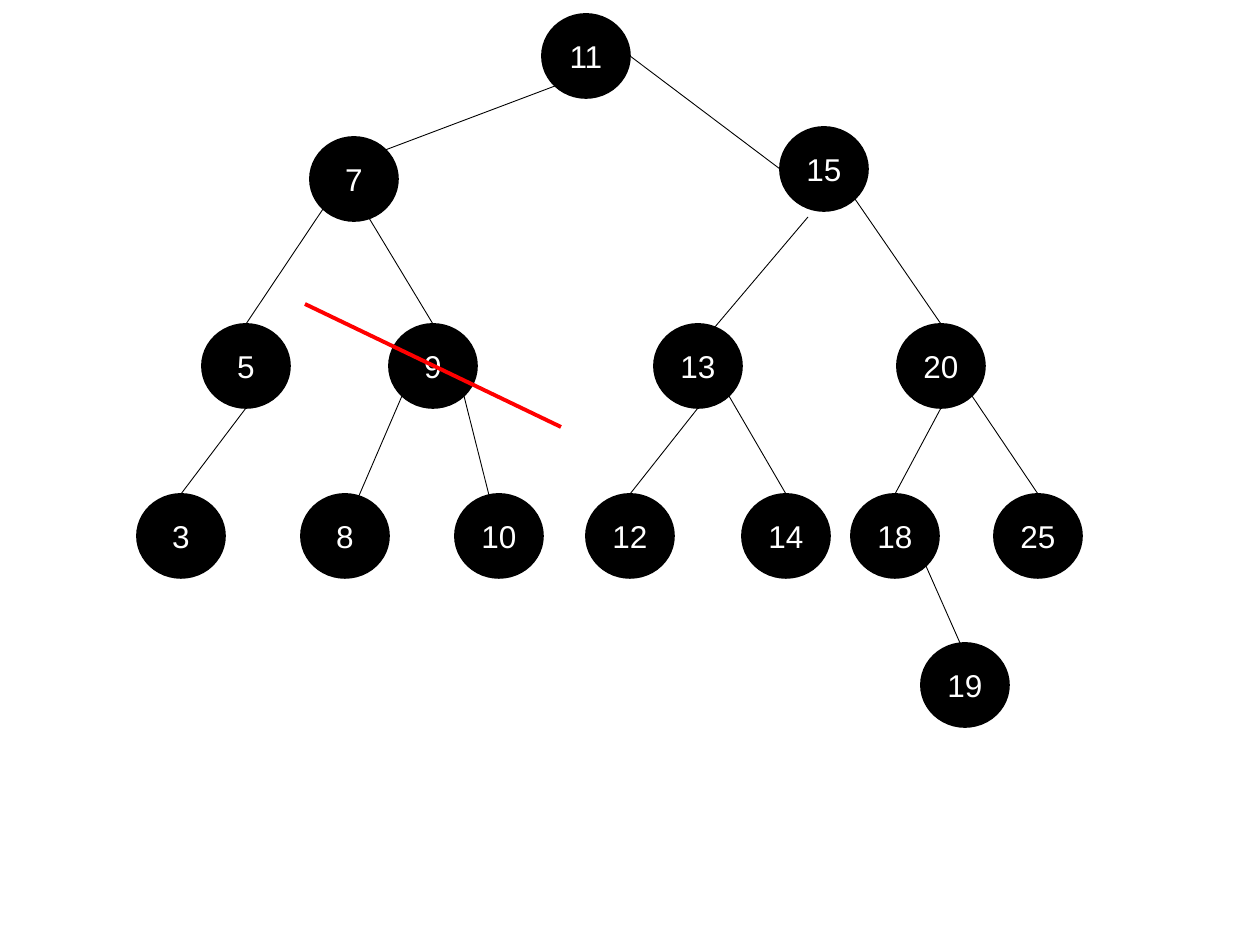
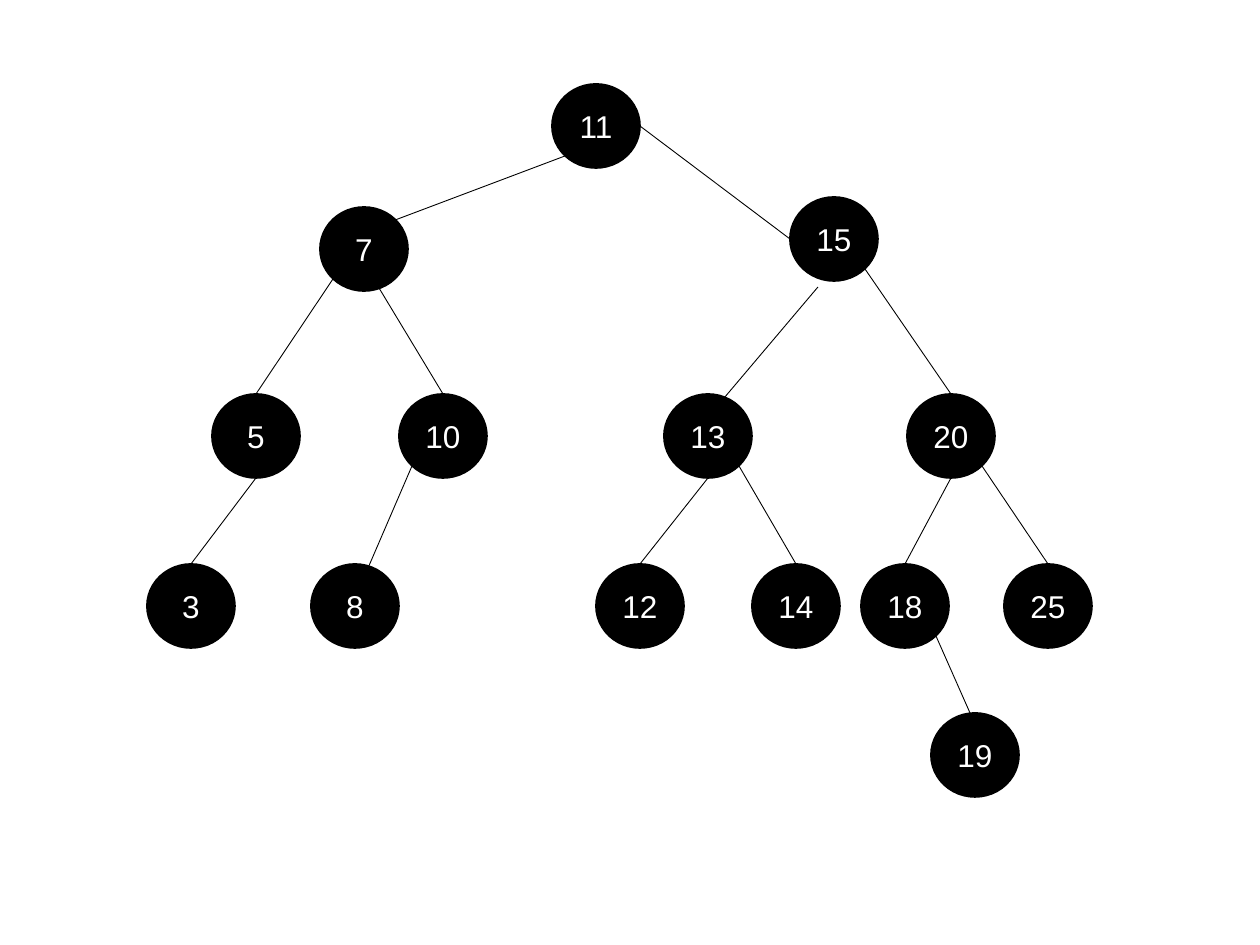
from pptx import Presentation, util as u
from pptx.dml.color import RGBColor
from pptx.enum import shapes, text
from pptx.oxml.ns import qn
from lxml import etree

PX = 914400 / 126
BLACK = RGBColor(0x00, 0x00, 0x00)
WHITE = RGBColor(0xFF, 0xFF, 0xFF)
RED = RGBColor(0xFF, 0x00, 0x00)
NODE_W, NODE_H = 88, 84

# Places on a node, measured from its top left corner
TOP, BOTTOM = (44, 0), (44, 84)
LEFT, RIGHT = (0, 42), (88, 42)
BOTTOM_LEFT, BOTTOM_RIGHT = (13, 72), (75, 72)

# Top left corner of every node in the search tree
nodes_before = {
    11: (542, 14), 7: (310, 137), 15: (780, 127),
    5: (202, 324), 9: (389, 324), 8: (301, 494), 10: (455, 494),
    3: (137, 494), 13: (654, 324), 20: (897, 324), 12: (586, 494),
    14: (742, 494), 18: (851, 494), 25: (994, 494), 19: (921, 643),
}

# Parent, child, start on the parent, end on the child
edges_before = [
    (11, 7, BOTTOM_LEFT, (62, 18)),
    (11, 15, RIGHT, LEFT),
    (15, 20, BOTTOM_RIGHT, TOP),
    (20, 25, BOTTOM_RIGHT, TOP),
    (7, 5, BOTTOM_LEFT, TOP),
    (7, 9, (59, 81), TOP),
    (15, 13, (28, 90), (55, 10)),
    (5, 3, BOTTOM, TOP),
    (9, 10, BOTTOM_RIGHT, (36, 9)),
    (9, 8, BOTTOM_LEFT, (51, 18)),
    (13, 12, BOTTOM, TOP),
    (13, 14, BOTTOM_RIGHT, TOP),
    (20, 18, BOTTOM, TOP),
    (18, 19, BOTTOM_RIGHT, (47, 18)),
]

# Deleting 9 moves its successor, 10, into its place
nodes_after = {key: corner for key, corner in nodes_before.items() if key != 9}
nodes_after[10] = nodes_before[9]
edges_after = [
    (10 if parent == 9 else parent, 10 if child == 9 else child, start, end)
    for parent, child, start, end in edges_before
    if (parent, child) != (9, 10)
]


def px(length):
    return u.Emu(round(length * PX))


def add_line(page, start, end, color, width):
    line = page.shapes.add_connector(
        shapes.MSO_CONNECTOR.STRAIGHT, *map(px, (*start, *end)))
    line.line.color.rgb = color
    line.line.width = u.Pt(width)
    etree.SubElement(line._element.spPr, qn("a:effectLst"))


deck = Presentation()
deck.slide_width, deck.slide_height = px(1260), px(945)
blank = deck.slide_layouts[6]

for nodes, edges, dx, dy in [
    (nodes_before, edges_before, 0, 0),
    (nodes_after, edges_after, 10, 70),
]:
    page = deck.slides.add_slide(blank)

    for key, (x, y) in nodes.items():
        node = page.shapes.add_shape(
            shapes.MSO_SHAPE.OVAL, px(x + dx), px(y + dy), px(NODE_W), px(NODE_H))
        node.shadow.inherit = False
        node.fill.solid()
        node.fill.fore_color.rgb = BLACK
        node.line.color.rgb = BLACK
        node.line.width = u.Pt(1)
        frame = node.text_frame
        frame.text = str(key)
        frame.vertical_anchor = text.MSO_ANCHOR.MIDDLE
        para = frame.paragraphs[0]
        para.alignment = text.PP_ALIGN.CENTER
        font = para.runs[0].font
        font.name = "Arial"
        font.size = u.Pt(18)
        font.color.rgb = WHITE

    for parent, child, start, end in edges:
        ends = [
            (nodes[key][0] + place[0] + dx, nodes[key][1] + place[1] + dy)
            for key, place in ((parent, start), (child, end))
        ]
        add_line(page, *ends, BLACK, 0.5)

# Strike out the node to delete
add_line(deck.slides[0], (305, 304), (561, 427), RED, 2.25)

deck.save("out.pptx")
